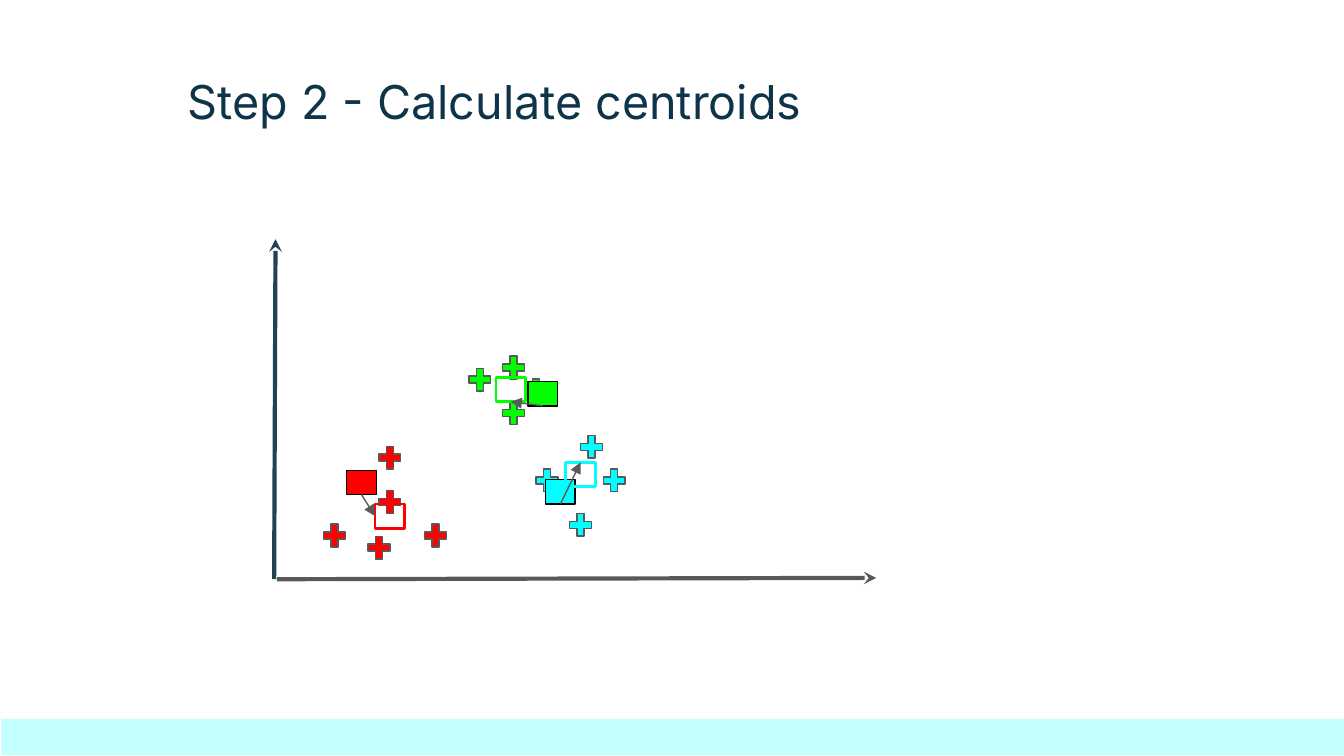
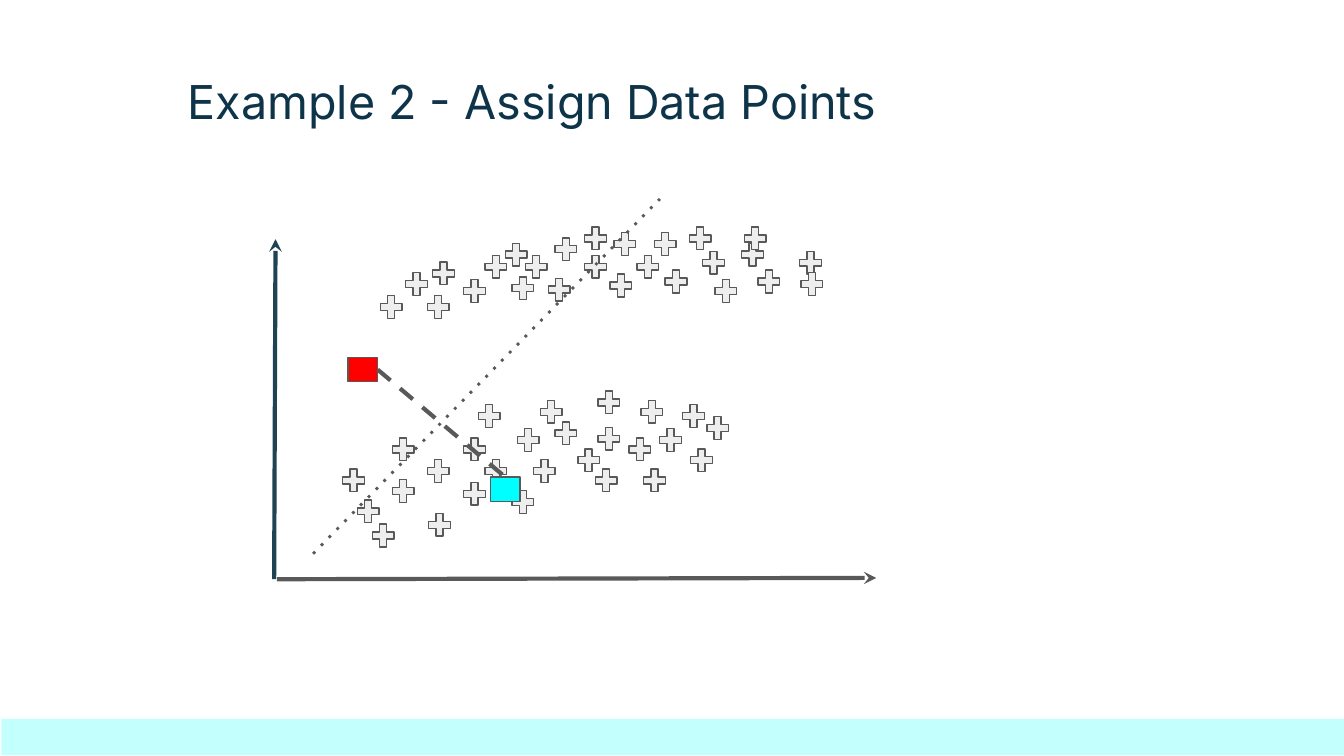
from lxml.etree import SubElement
from pptx import Presentation
from pptx.dml.color import RGBColor
from pptx.enum.shapes import MSO_CONNECTOR, MSO_SHAPE
from pptx.enum.text import MSO_ANCHOR
from pptx.oxml.ns import qn
from pptx.util import Inches, Pt

PX = 9144  # 100 px to the inch

NAVY = RGBColor(0x0E, 0x34, 0x49)
TEAL = RGBColor(0x1F, 0x43, 0x52)
GRAY = RGBColor(0x59, 0x59, 0x59)
PALE = RGBColor(0xEE, 0xEE, 0xEE)
MINT = RGBColor(0xC3, 0xFF, 0xFC)
RED = RGBColor(0xFF, 0x00, 0x00)
CYAN = RGBColor(0x00, 0xFF, 0xFF)
LIME = RGBColor(0x00, 0xFF, 0x00)
BLACK = RGBColor(0x00, 0x00, 0x00)

TITLE = (130, 44, 581, 58)
BAND = (1, 535, 1000, 27)
AXES = [((204, 431), (205, 178), TEAL), ((206, 431), (652, 430), GRAY)]
PLUS = (22, 23)
SQUARE = (22, 18)
FRAME = dict(word_wrap=True, vertical_anchor=MSO_ANCHOR.TOP,
             margin_left=10 * PX, margin_right=10 * PX,
             margin_top=10 * PX, margin_bottom=10 * PX)
FONT = dict(name="Inter", size=Pt(25))

# Connection sites of a square
TOP, LEFT, BOTTOM, RIGHT = range(4)

STEP = "Step 2 - Calculate centroids"
GROUPS = [
    dict(color=RED, old=(258, 350), new=(279, 375), ends=(BOTTOM, LEFT),
         points=[(238, 387), (271, 396), (279, 362), (313, 387), (279, 329)]),
    dict(color=CYAN, old=(406, 357), new=(421, 344), ends=(BOTTOM, TOP),
         points=[(446, 346), (421, 379), (396, 346), (429, 321)]),
    dict(color=LIME, old=(393, 284), new=(369, 281), ends=(BOTTOM, BOTTOM),
         points=[(346, 271), (371, 296), (371, 262), (388, 279)]),
]

ASSIGN = "Example 2 - Assign Data Points"
LOWER = [
    (252, 346), (274, 387), (289, 354), (316, 379), (289, 323), (353, 298),
    (394, 339), (378, 362), (382, 316), (315, 339), (342, 356), (342, 323),
    (358, 339), (410, 311), (427, 331), (399, 295), (442, 315), (465, 323),
    (442, 288), (474, 295), (523, 307), (440, 346), (488, 316), (505, 298),
    (476, 346), (511, 331), (263, 369),
]
UPPER = [
    (358, 187), (342, 205), (373, 178), (378, 203), (388, 187), (405, 204),
    (410, 174), (432, 166), (432, 187), (454, 170), (471, 187), (451, 201),
    (299, 200), (315, 217), (280, 217), (484, 170), (492, 198), (510, 166),
    (520, 184), (529, 205), (549, 178), (561, 198), (551, 166), (592, 184),
    (593, 200), (319, 192),
]
SEEDS = [((365, 355), CYAN), ((259, 266), RED)]
BORDER = ((233, 412), (491, 148))


def assign(item, values):
    for key, value in values.items():
        setattr(item, key, value)


def emu(*lengths):
    return [n * PX for n in lengths]


def draw(slide, kind, box, fill=None, line=None, width=0.75):
    shape = slide.shapes.add_shape(kind, *emu(*box))
    shape.shadow.inherit = False
    for part, color in ((shape.fill, fill), (shape.line.fill, line)):
        if color is None:
            part.background()
        else:
            part.solid()
            part.fore_color.rgb = color
    if line is not None:
        shape.line.width = Pt(width)
    return shape


def plot(slide, points, color):
    for spot in points:
        draw(slide, MSO_SHAPE.MATH_PLUS, spot + PLUS, color, GRAY)


def square(slide, spot, **style):
    return draw(slide, MSO_SHAPE.RECTANGLE, spot + SQUARE, **style)


def stroke(slide, start=(0, 0), end=(0, 0), color=GRAY, width=0.75,
           dash=None, head=None):
    line = slide.shapes.add_connector(MSO_CONNECTOR.STRAIGHT,
                                      *emu(*start, *end))
    line.line.color.rgb = color
    line.line.width = Pt(width)
    props = line._element.spPr
    pen = props.find(qn("a:ln"))
    if dash:
        SubElement(pen, qn("a:prstDash"), val=dash)
    if head:
        SubElement(pen, qn("a:tailEnd"), type=head)
    SubElement(props, qn("a:effectLst"))
    return line


def link(slide, first, last, ends, **style):
    """Join two squares at the given connection sites."""
    line = stroke(slide, **style)
    line.begin_connect(first, ends[0])
    line.end_connect(last, ends[1])


def base(deck, title):
    """Add a slide with its title, bottom band and axes."""
    slide = deck.slides.add_slide(deck.slide_layouts[6])
    frame = slide.shapes.add_textbox(*emu(*TITLE)).text_frame
    assign(frame, FRAME)
    run = frame.paragraphs[0].add_run()
    run.text = title
    assign(run.font, FONT)
    run.font.color.rgb = NAVY
    draw(slide, MSO_SHAPE.RECTANGLE, BAND, MINT)
    for start, end, color in AXES:
        stroke(slide, start, end, color, 2.25, head="stealth")
    return slide


def centroids(deck):
    slide = base(deck, STEP)
    for group in GROUPS:
        color = group["color"]
        plot(slide, group["points"], color)
        old = square(slide, group["old"], fill=color, line=BLACK)
        new = square(slide, group["new"], line=color, width=1.5)
        link(slide, old, new, group["ends"], head="triangle")


def example(deck):
    slide = base(deck, ASSIGN)
    plot(slide, LOWER + UPPER, PALE)
    cyan, red = [square(slide, spot, fill=color, line=GRAY)
                 for spot, color in SEEDS]
    link(slide, red, cyan, (RIGHT, TOP), width=2.25, dash="dash")
    stroke(slide, *BORDER, width=1.5, dash="dot")


def main():
    deck = Presentation()
    deck.slide_width = Inches(10)
    deck.slide_height = deck.slide_width * 9 // 16
    centroids(deck)
    example(deck)
    deck.save("out.pptx")


if __name__ == "__main__":
    main()
